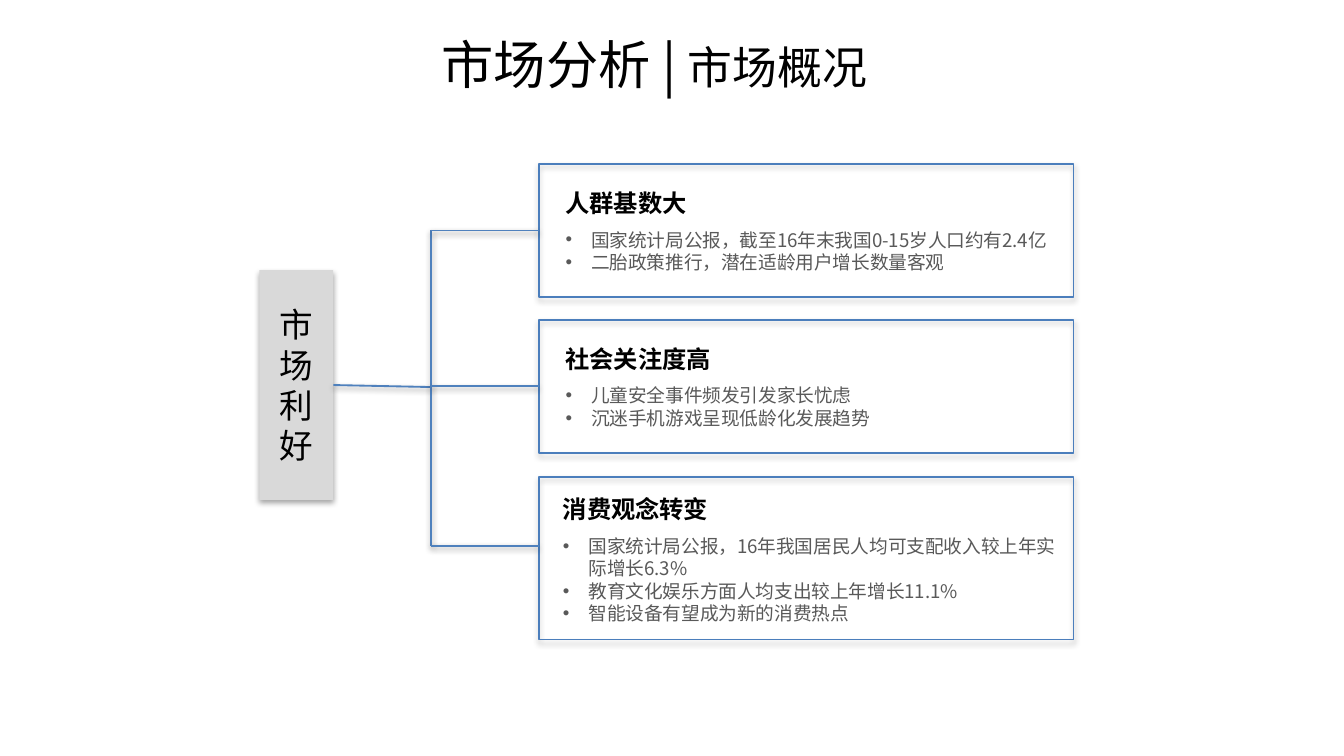
from dataclasses import dataclass

from lxml.etree import SubElement
from pptx import Presentation
from pptx.dml.color import RGBColor
from pptx.enum.shapes import MSO_CONNECTOR as Line, MSO_SHAPE as Shape
from pptx.enum.text import MSO_ANCHOR as Anchor, PP_ALIGN as Align
from pptx.oxml.ns import qn
from pptx.util import Inches, Pt


@dataclass(frozen=True)
class Theme:
    font: str = "Noto Sans CJK SC"
    ink: str = "000000"
    body: str = "595959"
    panel: str = "D9D9D9"
    border: str = "4B7EBC"
    branch: str = "4F81BD"
    title_size: int = 28
    subtitle_size: int = 24
    root_size: int = 18
    heading_size: int = 13
    body_size: int = 10


class SlideBuilder:
    """Draws styled elements on the current slide."""

    def __init__(self, slide, theme):
        self.slide = slide
        self.theme = theme

    def shadow(self, shape, distance, alpha):
        effects = SubElement(shape._element.spPr, qn("a:effectLst"))
        outer = SubElement(effects, qn("a:outerShdw"), blurRad=str(Pt(3.1)),
                           dist=str(Pt(distance)), dir="5400000", rotWithShape="0")
        color = SubElement(outer, qn("a:srgbClr"), val=self.theme.ink)
        SubElement(color, qn("a:alpha"), val=str(alpha * 1000))

    def style(self, para, size, color, bold=False):
        font = para.font
        font.size, font.bold, font.name = Pt(size), bold, self.theme.font
        font.color.rgb = RGBColor.from_string(color)
        defaults = para._p.pPr.find(qn("a:defRPr"))
        SubElement(defaults, qn("a:ea"), typeface=self.theme.font)

    def text_frame(self, left, top, width, height):
        box = self.slide.shapes.add_textbox(
            Inches(left), Inches(top), Inches(width), Inches(height))
        box.text_frame.word_wrap = True
        return box.text_frame

    def title(self, main, sub):
        frame = self.text_frame(0.37, 0, 9, 0.94)
        frame.vertical_anchor = Anchor.MIDDLE
        para = frame.paragraphs[0]
        para.alignment = Align.CENTER
        self.style(para, self.theme.title_size, self.theme.ink)
        para.add_run().text = main
        span = para.add_run()
        span.text = sub
        span.font.size = Pt(self.theme.subtitle_size)

    def rectangle(self, left, top, width, height, fill=None, border=None):
        box = self.slide.shapes.add_shape(
            Shape.RECTANGLE, Inches(left), Inches(top), Inches(width), Inches(height))
        if fill:
            box.fill.solid()
            box.fill.fore_color.rgb = RGBColor.from_string(fill)
        else:
            box.fill.background()
        if border:
            box.line.color.rgb = RGBColor.from_string(border)
            box.line.width = Pt(0.75)
        else:
            box.line.fill.background()
        self.shadow(box, 1.8, 35)
        return box

    def root(self, text, left, top, width, height):
        box = self.rectangle(left, top, width, height, fill=self.theme.panel)
        frame = box.text_frame
        frame.word_wrap = True
        frame.vertical_anchor = Anchor.MIDDLE
        para = frame.paragraphs[0]
        para.text = text
        para.alignment = Align.CENTER
        self.style(para, self.theme.root_size, self.theme.ink)
        return box

    def line(self, start, end, source=None, target=None):
        connector = self.slide.shapes.add_connector(
            Line.STRAIGHT, *map(Inches, start + end))
        if source:
            connector.begin_connect(source, 3)
        if target:
            connector.end_connect(target, 1)
        connector.line.color.rgb = RGBColor.from_string(self.theme.branch)
        connector.line.width = Pt(1)
        self.shadow(connector, 1.6, 38)

    def points(self, heading, items, left, top, height):
        frame = self.text_frame(left, top, 3.97, height)
        para = frame.paragraphs[0]
        para.text = heading
        self.style(para, self.theme.heading_size, self.theme.ink, bold=True)
        for index, item in enumerate(items):
            para = frame.add_paragraph()
            para.text = item
            if index == 0:
                para.space_before = Pt(6)
            props = para._p.get_or_add_pPr()
            props.set("marL", str(Inches(0.19)))
            props.set("indent", str(Inches(-0.19)))
            SubElement(props, qn("a:buFont"), typeface="Arial")
            SubElement(props, qn("a:buChar"), char="•")
            self.style(para, self.theme.body_size, self.theme.body)


CARDS = [
    ("人群基数大", ["国家统计局公报，截至16年末我国0-15岁人口约有2.4亿",
                "二胎政策推行，潜在适龄用户增长数量客观"],
     (1.22, 0.99), (4.11, 1.35, 0.74)),
    ("社会关注度高", ["儿童安全事件频发引发家长忧虑",
                 "沉迷手机游戏呈现低龄化发展趋势"],
     (2.38, 0.99), (4.11, 2.51, 0.74)),
    ("消费观念转变", ["国家统计局公报，16年我国居民人均可支配收入较上年实际增长6.3%",
                 "教育文化娱乐方面人均支出较上年增长11.1%",
                 "智能设备有望成为新的消费热点"],
     (3.55, 1.21), (4.09, 3.63, 1.08)),
]
TRUNK, CARD_LEFT, CARD_WIDTH = 3.21, 4.01, 3.98
TRUNK_TOP, TRUNK_MIDDLE, TRUNK_BOTTOM = 1.71, 2.88, 4.06


def main():
    deck = Presentation()
    deck.slide_width = Inches(10)
    deck.slide_height = deck.slide_width * 9 // 16
    theme = Theme()
    builder = SlideBuilder(deck.slides.add_slide(deck.slide_layouts[6]), theme)

    builder.title("市场分析 | ", "市场概况")
    root = builder.root("市场利好", 1.93, 2.01, 0.55, 1.71)
    builder.line((2.48, 2.87), (TRUNK, TRUNK_MIDDLE), source=root)
    builder.line((TRUNK, TRUNK_TOP), (TRUNK, TRUNK_BOTTOM))
    for heading, items, (top, height), text_place in CARDS:
        card = builder.rectangle(CARD_LEFT, top, CARD_WIDTH, height, border=theme.border)
        middle = top + height / 2
        joined = middle < TRUNK_BOTTOM
        level = middle if joined else TRUNK_BOTTOM
        builder.line((TRUNK, level), (CARD_LEFT, level), target=card if joined else None)
        builder.points(heading, items, *text_place)
    deck.save("out.pptx")


if __name__ == "__main__":
    main()
